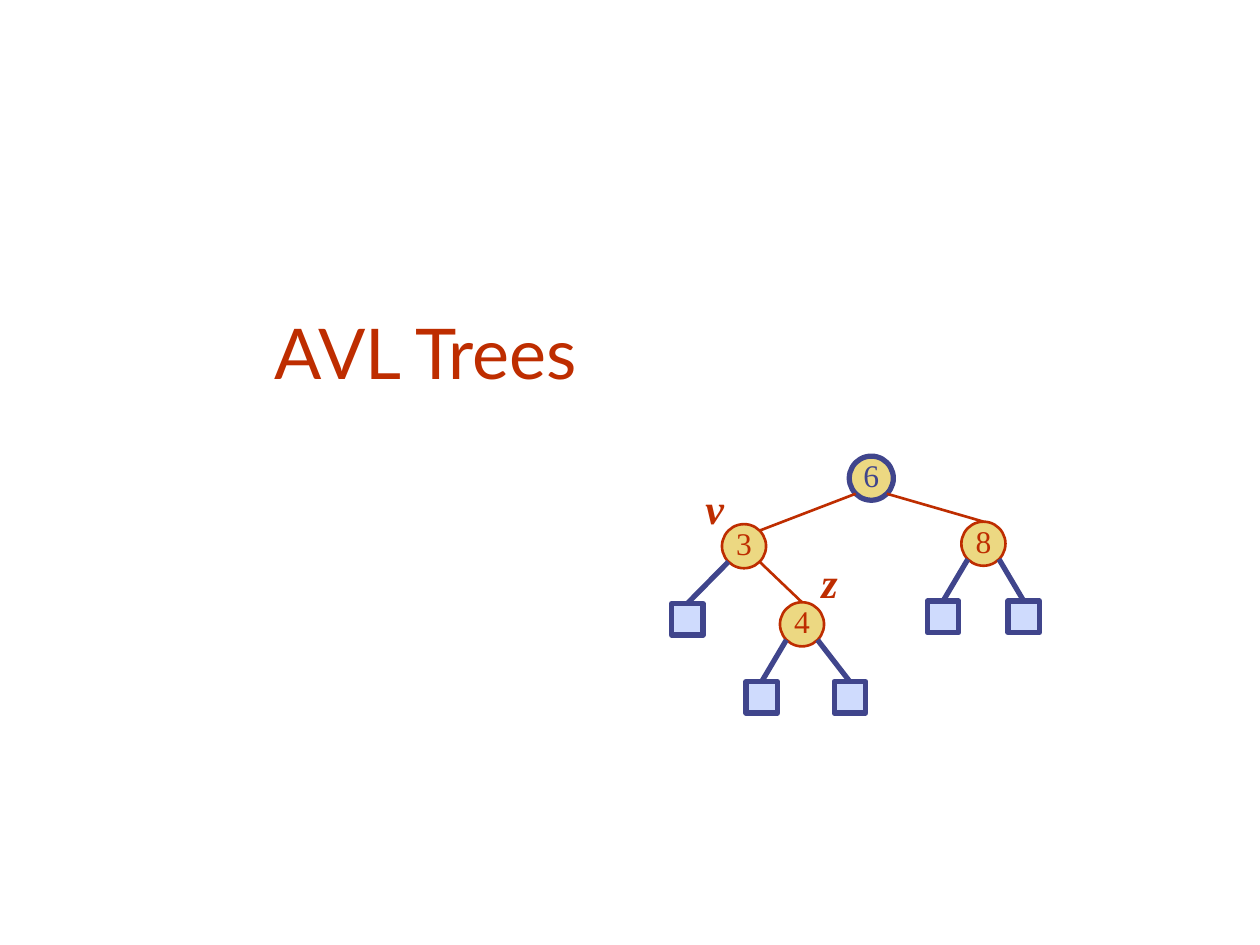
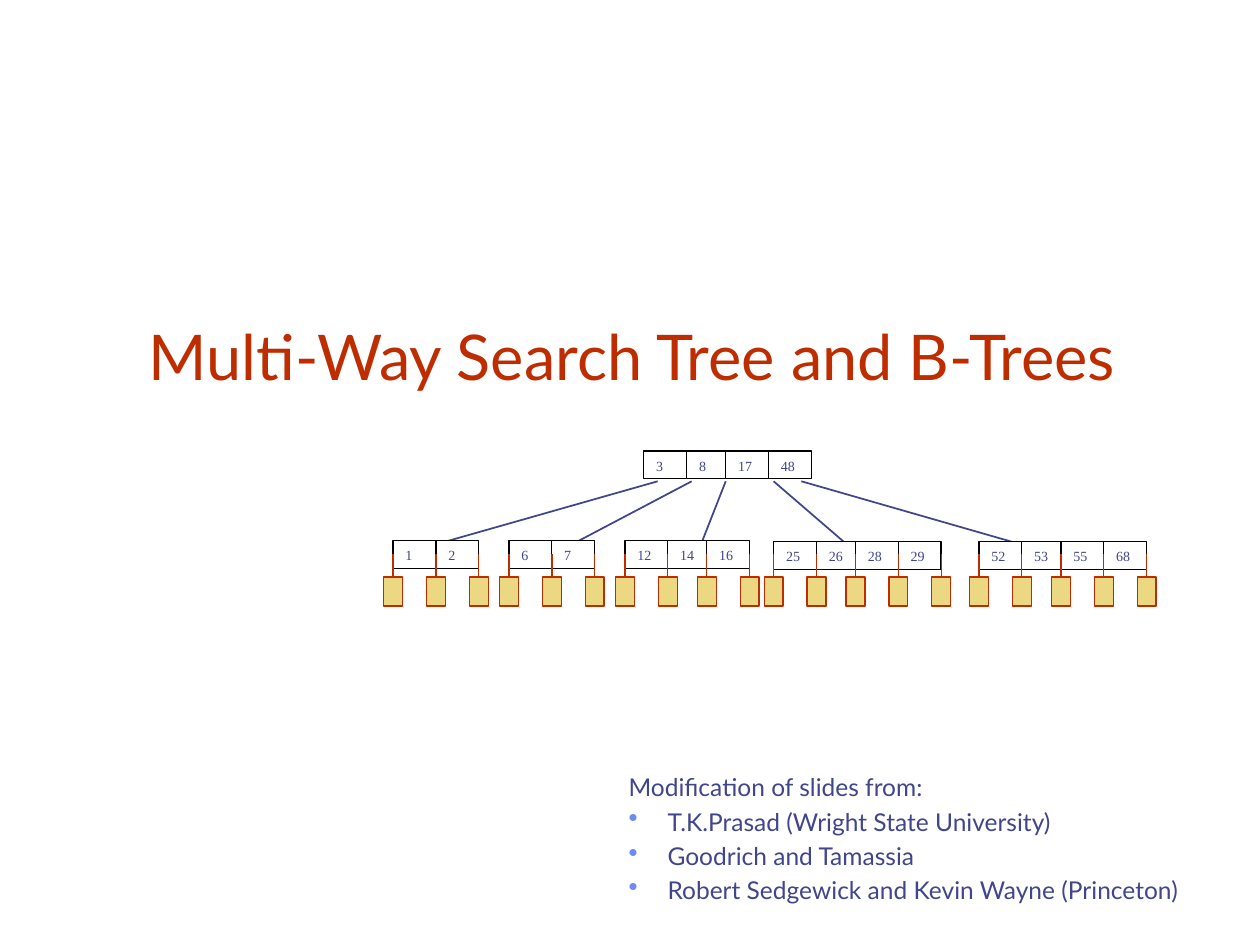
from dataclasses import dataclass
from math import sqrt

from lxml.etree import SubElement
from pptx import Presentation
from pptx.dml.color import RGBColor
from pptx.enum.shapes import MSO_CONNECTOR, MSO_SHAPE
from pptx.enum.text import MSO_ANCHOR, MSO_AUTO_SIZE, PP_ALIGN
from pptx.oxml.ns import qn
from pptx.shapes.autoshape import Shape
from pptx.shapes.connector import Connector
from pptx.slide import Slide
from pptx.text.text import _Paragraph as Paragraph
from pptx.util import Inches, Pt

COLORS = {
    "red": "BE2D00",
    "indigo": "40458C",
    "gold": "ECD882",
    "pale_blue": "CFDBFD",
    "bullet": "6F89F7",
    "white": "FFFFFF",
    "black": "000000",
}
HEADING_FONT = "Lato"
TREE_FONT = "Times New Roman"

CIRCLE = 0.35
SQUARE = 0.25
CELL_WIDTH, CELL_HEIGHT = 0.34, 0.22
CELL_OFFSETS = (0, 0.34, 0.65, 0.99)
LEAF_WIDTH, LEAF_HEIGHT, LEAF_TOP = 0.15, 0.23, 4.58
POINTER_TOP = 4.4
ROOT_EDGE_TOP = 3.82


@dataclass(frozen=True)
class KeyNode:
    key: str
    left: float
    top: float
    color: str = "red"
    line_width: float = 1.5

    def diagonal(self, horizontal: int, vertical: int) -> tuple[float, float]:
        reach = CIRCLE / 2 / sqrt(2)
        return (self.left + CIRCLE / 2 + horizontal * reach,
                self.top + CIRCLE / 2 + vertical * reach)


@dataclass(frozen=True)
class ExternalNode:
    parent: KeyNode
    side: int
    left: float
    top: float


@dataclass(frozen=True)
class NodeLabel:
    text: str
    left: float
    top: float


@dataclass(frozen=True)
class MultiNode:
    keys: tuple[int, ...]
    left: float
    top: float
    edge_start: float = 0
    edge_end: tuple[float, float] = (0, 0)


ROOT = KeyNode("6", 6.74, 3.62, "indigo", 3)
THREE = KeyNode("3", 5.73, 4.16)
EIGHT = KeyNode("8", 7.63, 4.14)
FOUR = KeyNode("4", 6.19, 4.78)
KEY_NODES = (ROOT, THREE, EIGHT, FOUR)
TOP_EDGES = ((ROOT, EIGHT), (THREE, FOUR))
EXTERNAL_NODES = (
    ExternalNode(THREE, -1, 5.33, 4.79),
    ExternalNode(EIGHT, -1, 7.36, 4.77),
    ExternalNode(EIGHT, 1, 8, 4.77),
    ExternalNode(FOUR, -1, 5.92, 5.41),
    ExternalNode(FOUR, 1, 6.62, 5.41),
)
NODE_LABELS = (NodeLabel("v", 5.5, 3.78), NodeLabel("z", 6.42, 4.37))

MULTI_ROOT = MultiNode((3, 8, 17, 48), 5.11, 3.58)
MULTI_CHILDREN = (
    MultiNode((1, 2), 3.12, 4.29, 5.22, (3.53, 4.3)),
    MultiNode((6, 7), 4.04, 4.29, 5.49, (4.37, 4.41)),
    MultiNode((12, 14, 16), 4.96, 4.29, 5.76, (5.54, 4.38)),
    MultiNode((25, 26, 28, 29), 6.14, 4.3, 6.14, (6.79, 4.38)),
    MultiNode((52, 53, 55, 68), 7.77, 4.3, 6.36, (8.31, 4.38)),
)
SOURCES = (
    "T.K.Prasad (Wright State University)",
    "Goodrich and Tamassia",
    "Robert Sedgewick and Kevin Wayne (Princeton)",
)


def rgb(name: str) -> RGBColor:
    return RGBColor.from_string(COLORS[name])


def add_text(paragraph: Paragraph, text: str, size: float, color: str,
             font: str, emphasis: bool = False) -> None:
    run = paragraph.add_run()
    run.text = text
    run.font.size = Pt(size)
    run.font.name = font
    run.font.color.rgb = rgb(color)
    run.font.bold = run.font.italic = emphasis


def add_title(slide: Slide, text: str, left: float, width: float, size: float) -> None:
    title = slide.shapes.title
    title.left, title.top = Inches(left), Inches(1.92)
    title.width, title.height = Inches(width), Inches(1.25)
    frame = title.text_frame
    frame.auto_size = MSO_AUTO_SIZE.NONE
    frame.vertical_anchor = MSO_ANCHOR.BOTTOM
    paragraph = frame.paragraphs[0]
    paragraph.alignment = PP_ALIGN.LEFT
    add_text(paragraph, text, size, "red", HEADING_FONT)


def add_box(slide: Slide, kind: MSO_SHAPE, left: float, top: float, width: float,
            height: float, fill: str, line: str, line_width: float) -> Shape:
    shape = slide.shapes.add_shape(
        kind, Inches(left), Inches(top), Inches(width), Inches(height))
    shape.shadow.inherit = False
    shape.fill.solid()
    shape.fill.fore_color.rgb = rgb(fill)
    shape.line.color.rgb = rgb(line)
    shape.line.width = Pt(line_width)
    return shape


def add_line(slide: Slide, start: tuple[float, float], end: tuple[float, float],
             color: str, width: float) -> Connector:
    connector = slide.shapes.add_connector(
        MSO_CONNECTOR.STRAIGHT, *(Inches(value) for value in (*start, *end)))
    connector.line.color.rgb = rgb(color)
    connector.line.width = Pt(width)
    SubElement(connector._element.spPr, qn("a:effectLst"))
    return connector


def add_key_node(slide: Slide, node: KeyNode) -> Shape:
    circle = add_box(slide, MSO_SHAPE.OVAL, node.left, node.top, CIRCLE, CIRCLE,
                     "gold", node.color, node.line_width)
    frame = circle.text_frame
    frame.margin_left = frame.margin_right = frame.margin_top = 0
    frame.margin_bottom = Inches(0.05)
    frame.word_wrap = False
    frame.vertical_anchor = MSO_ANCHOR.MIDDLE
    paragraph = frame.paragraphs[0]
    paragraph.alignment = PP_ALIGN.CENTER
    add_text(paragraph, node.key, 18, node.color, TREE_FONT)
    return circle


def add_external_node(slide: Slide, node: ExternalNode) -> None:
    square = add_box(slide, MSO_SHAPE.RECTANGLE, node.left, node.top, SQUARE, SQUARE,
                     "pale_blue", "indigo", 3)
    edge = add_line(slide, node.parent.diagonal(node.side, 1),
                    (node.left + SQUARE / 2, node.top), "indigo", 3)
    edge.end_connect(square, 0)


def add_node_label(slide: Slide, label: NodeLabel) -> None:
    box = slide.shapes.add_textbox(
        Inches(label.left), Inches(label.top), Inches(0.34), Inches(0.5))
    box.text_frame.word_wrap = True
    add_text(box.text_frame.paragraphs[0], label.text, 24, "red", TREE_FONT, True)


def add_cells(slide: Slide, node: MultiNode) -> None:
    for key, offset in zip(node.keys, CELL_OFFSETS):
        cell = add_box(slide, MSO_SHAPE.RECTANGLE, node.left + offset, node.top,
                       CELL_WIDTH, CELL_HEIGHT, "white", "black", 0.75)
        cell.text_frame.vertical_anchor = MSO_ANCHOR.TOP
        paragraph = cell.text_frame.paragraphs[0]
        paragraph.alignment = PP_ALIGN.LEFT
        add_text(paragraph, str(key), 8, "indigo", TREE_FONT)


def add_leaves(slide: Slide, node: MultiNode) -> None:
    offsets = CELL_OFFSETS[:len(node.keys)]
    for offset in (*offsets, offsets[-1] + CELL_WIDTH):
        center = node.left + offset
        leaf = add_box(slide, MSO_SHAPE.RECTANGLE, center - LEAF_WIDTH / 2, LEAF_TOP,
                       LEAF_WIDTH, LEAF_HEIGHT, "gold", "red", 0.75)
        pointer = add_line(slide, (center, POINTER_TOP), (center, LEAF_TOP), "red", 0.75)
        pointer.end_connect(leaf, 0)


def add_bullet(paragraph: Paragraph) -> None:
    properties = paragraph._p.get_or_add_pPr()
    properties.set("marL", str(Inches(0.31)))
    properties.set("indent", str(-Inches(0.31)))
    color = SubElement(properties, qn("a:buClr"))
    SubElement(color, qn("a:srgbClr"), val=COLORS["bullet"])
    SubElement(properties, qn("a:buSzPct"), val="110000")
    SubElement(properties, qn("a:buChar"), char="•")


def add_credits(slide: Slide) -> None:
    box = slide.shapes.add_textbox(Inches(4.89), Inches(6.08), Inches(4.86), Inches(1.11))
    frame = box.text_frame
    frame.word_wrap = True
    add_text(frame.paragraphs[0], "Modification of slides from:", 14, "indigo", HEADING_FONT)
    for source in SOURCES:
        paragraph = frame.add_paragraph()
        add_bullet(paragraph)
        paragraph.space_before = Pt(2.8)
        add_text(paragraph, source, 14, "indigo", HEADING_FONT)


def build_avl_slide(slide: Slide) -> None:
    add_title(slide, "AVL Trees", 2.08, 3.83, 40)
    circles = {node.key: add_key_node(slide, node) for node in KEY_NODES}
    add_line(slide, ROOT.diagonal(-1, 1), THREE.diagonal(1, -1), "red", 1.5)
    for parent, child in TOP_EDGES:
        edge = add_line(slide, parent.diagonal(1, 1),
                        (child.left + CIRCLE / 2, child.top), "red", 1.5)
        edge.end_connect(circles[child.key], 0)
    for node in EXTERNAL_NODES:
        add_external_node(slide, node)
    for label in NODE_LABELS:
        add_node_label(slide, label)


def build_multiway_slide(slide: Slide) -> None:
    add_title(slide, "Multi-Way Search Tree and B-Trees", 1.08, 8.5, 36)
    add_credits(slide)
    for node in MULTI_CHILDREN:
        add_line(slide, (node.edge_start, ROOT_EDGE_TOP), node.edge_end, "indigo", 1)
    for node in (MULTI_ROOT, *MULTI_CHILDREN):
        add_cells(slide, node)
    for node in MULTI_CHILDREN:
        add_leaves(slide, node)


def main() -> None:
    presentation = Presentation()
    presentation.slide_width = Inches(10)
    presentation.slide_height = Inches(7.5)
    title_only = presentation.slide_layouts[5]
    for build_slide in (build_avl_slide, build_multiway_slide):
        build_slide(presentation.slides.add_slide(title_only))
    presentation.save("out.pptx")


if __name__ == "__main__":
    main()
